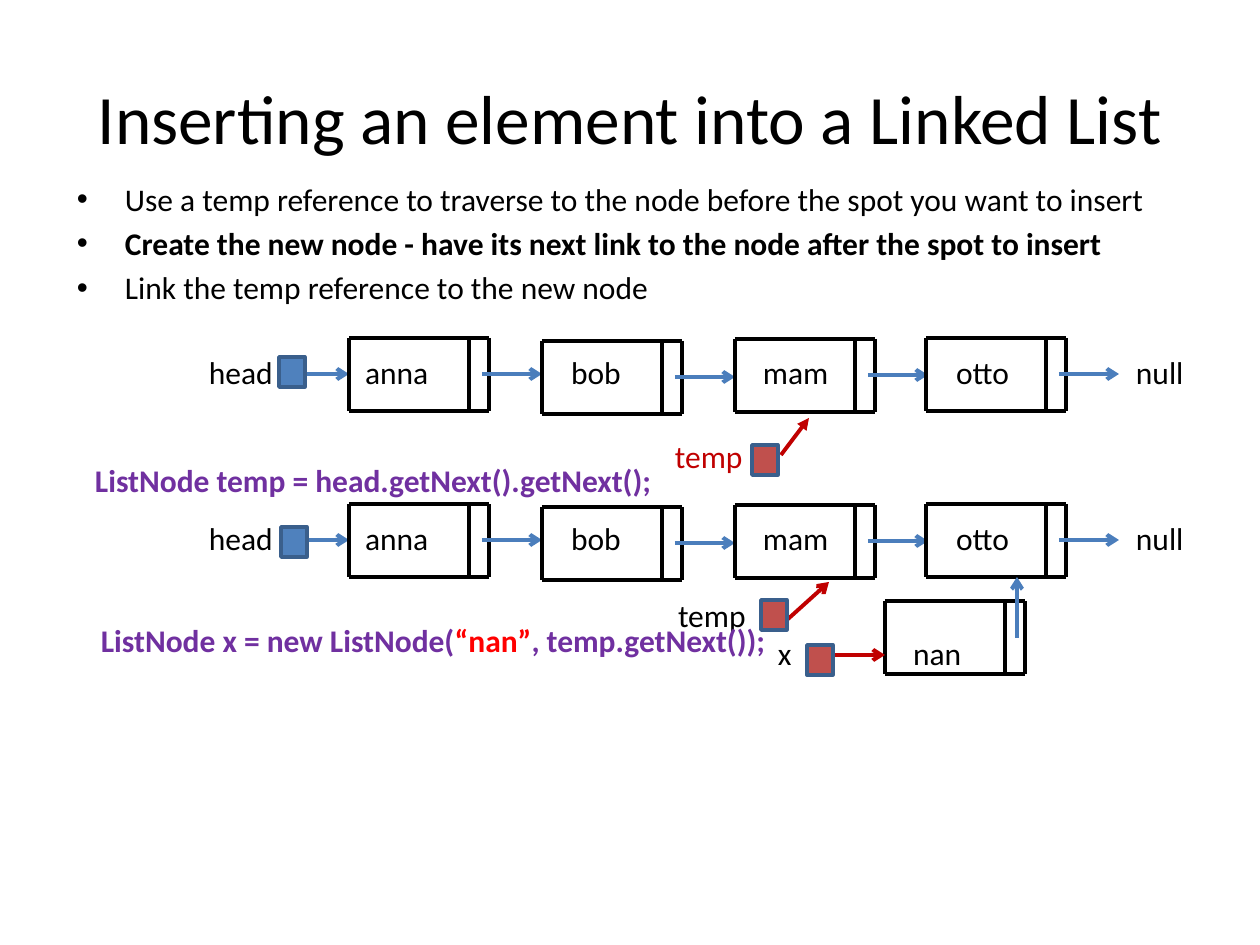
import pptx
import pptx.dml.color
import pptx.enum.shapes
import pptx.enum.text
import pptx.oxml.ns
import pptx.util
from lxml import etree

PX = pptx.util.Inches(1) / 126
BLACK, BLUE, RED, PURPLE = "000000", "4B7EBC", "C00000", "7030A0"
SQUARE_BLUE, SQUARE_RED, SQUARE_EDGE = "4F81BD", "C0504D", "3A5F8C"
NODES = [(349, 338), (542, 341), (735, 339), (926, 338)]
LABELS = [("head", 209), ("anna", 365), ("bob", 571), ("mam", 763), ("otto", 956), ("null", 1136)]
ROW_STEP = 166
BULLETS = [
    ("Use a temp reference to traverse to the node before the spot you want to insert", False),
    ("Create the new node - have its next link to the node after the spot to insert", True),
    ("Link the temp reference to the new node", False),
]


def emu(*px):
    """Turn pixel lengths into EMU."""
    return [round(v * PX) for v in px]


def rgb(value):
    """Return the colour of a hex string."""
    return pptx.dml.color.RGBColor.from_string(value)


def child(parent, tag, **attrs):
    """Append a drawing element to an XML parent."""
    return etree.SubElement(parent, pptx.oxml.ns.qn(tag), attrs)


def write(p, text, size=18, bold=False, color=BLACK):
    """Add a formatted run to a paragraph."""
    r = p.add_run()
    r.text = text
    r.font.name = "Calibri"
    r.font.size = pptx.util.Pt(size)
    r.font.bold = bold
    r.font.color.rgb = rgb(color)


def add_frame(s, x, y, w, h, wrap=True):
    """Add a text box without margins and return its frame."""
    tf = s.shapes.add_textbox(*emu(x, y, w, h)).text_frame
    tf.word_wrap = wrap
    tf.margin_left = tf.margin_right = tf.margin_top = tf.margin_bottom = 0
    return tf


def add_label(s, text, x, y, w=70, **style):
    """Add a one-line label."""
    write(add_frame(s, x, y, w, 38, wrap=False).paragraphs[0], text, **style)


def add_title(s, text):
    """Add the centred slide title."""
    tf = add_frame(s, 63, 38, 1134, 158)
    tf.vertical_anchor = pptx.enum.text.MSO_ANCHOR.MIDDLE
    p = tf.paragraphs[0]
    p.alignment = pptx.enum.text.PP_ALIGN.CENTER
    write(p, text, size=39.6)


def add_bullets(s, items):
    """Add the bulleted steps."""
    tf = add_frame(s, 77, 180, 1109, 155)
    indent = emu(48)[0]
    for i, (text, bold) in enumerate(items):
        p = tf.add_paragraph() if i else tf.paragraphs[0]
        p.space_before = pptx.util.Pt(3.6)
        pPr = p._p.get_or_add_pPr()
        pPr.set("marL", str(indent))
        pPr.set("indent", str(-indent))
        child(pPr, "a:buFont", typeface="Arial")
        child(pPr, "a:buChar", char="•")
        write(p, text, bold=bold)


def add_line(s, x1, y1, x2, y2, color=BLACK, head=None):
    """Add a straight line, with an arrowhead at its end if named."""
    line = s.shapes.add_connector(pptx.enum.shapes.MSO_CONNECTOR.STRAIGHT, *emu(x1, y1, x2, y2))
    line.line.width = pptx.util.Pt(2.25)
    line.line.color.rgb = rgb(color)
    if head:
        child(line.line._get_or_add_ln(), "a:tailEnd", type=head)
    child(line._element.spPr, "a:effectLst")


def add_node(s, x, y):
    """Draw a list node with its value and link cells."""
    for row in (y, y + 73):
        add_line(s, x, row, x + 140, row)
    for column in (x, x + 120, x + 140):
        add_line(s, column, y, column, y + 73)


def add_square(s, x, y, color):
    """Add a reference variable square."""
    sp = s.shapes.add_shape(pptx.enum.shapes.MSO_SHAPE.RECTANGLE, *emu(x, y, 26, 30))
    sp.shadow.inherit = False
    sp.fill.solid()
    sp.fill.fore_color.rgb = rgb(color)
    sp.line.color.rgb = rgb(SQUARE_EDGE)
    sp.line.width = pptx.util.Pt(2)


def add_list(s, dy):
    """Draw the linked list, shifted down by dy."""
    add_line(s, 289, 374 + dy, 349, 374 + dy, BLUE, "arrow")
    for x, y in NODES:
        add_node(s, x, y + dy)
        add_line(s, x + 133, y + 36 + dy, x + 193, y + 36 + dy, BLUE, "arrow")
    for text, x in LABELS:
        add_label(s, text, x, 353 + dy)


def main():
    """Build the slide."""
    prs = pptx.Presentation()
    prs.slide_width, prs.slide_height = emu(1260, 945)
    s = prs.slides.add_slide(prs.slide_layouts[6])
    add_title(s, "Inserting an element into a Linked List")
    add_bullets(s, BULLETS)

    add_list(s, 0)
    add_square(s, 279, 357, SQUARE_BLUE)
    add_label(s, "temp", 675, 437, color=RED)
    add_line(s, 781, 455, 809, 418, RED, "triangle")
    add_square(s, 752, 445, SQUARE_RED)
    add_label(s, "ListNode temp = head.getNext().getNext();", 95, 461, 560, bold=True, color=PURPLE)

    add_list(s, ROW_STEP)
    add_square(s, 281, 527, SQUARE_BLUE)
    add_label(s, "temp", 678, 596)
    add_line(s, 788, 619, 829, 582, RED, "arrow")
    add_square(s, 761, 600, SQUARE_RED)
    p = add_frame(s, 101, 621, 670, 38, wrap=False).paragraphs[0]
    for text, color in (("ListNode x = new ListNode(", PURPLE), ("“nan”", "FF0000"),
                        (", temp.getNext());", PURPLE)):
        write(p, text, bold=True, color=color)

    add_node(s, 885, 601)
    add_label(s, "x", 778, 634, 20)
    add_label(s, "nan", 913, 634)
    add_line(s, 1017, 638, 1017, 577, BLUE, "arrow")
    add_line(s, 833, 655, 885, 655, RED, "arrow")
    add_square(s, 807, 645, SQUARE_RED)
    prs.save("out.pptx")


if __name__ == "__main__":
    main()
